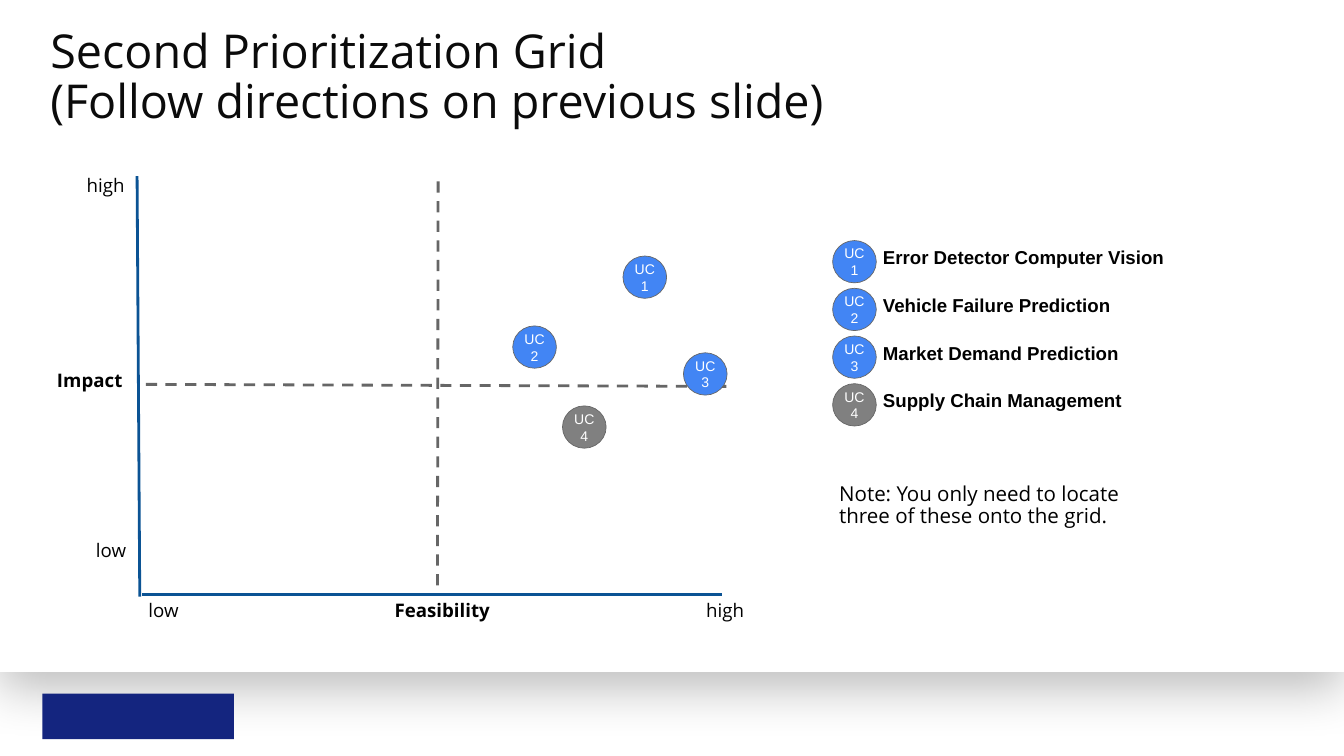
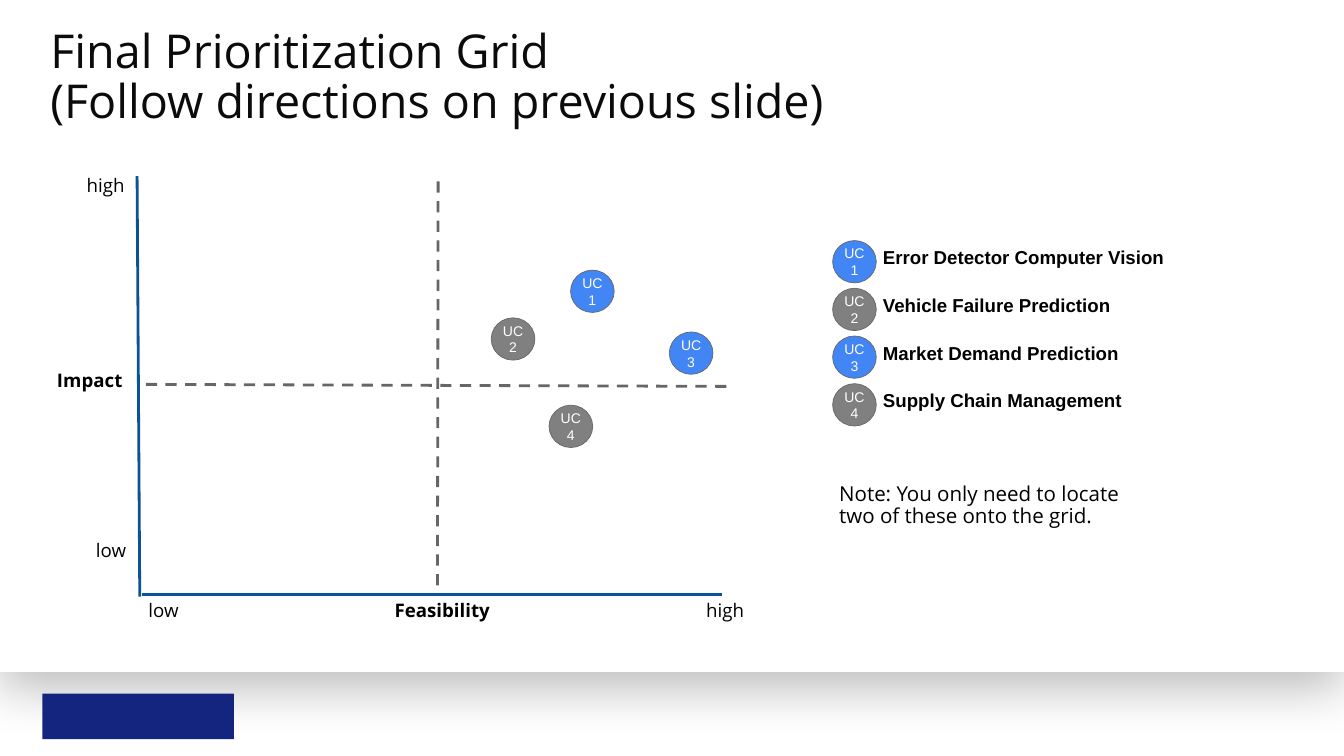
import lxml.etree
import pptx
import pptx.dml.color
import pptx.enum.dml
import pptx.enum.shapes
import pptx.enum.text
import pptx.oxml.ns
import pptx.util

Inches = pptx.util.Inches
Pt = pptx.util.Pt
qn = pptx.oxml.ns.qn
SHAPE = pptx.enum.shapes.MSO_SHAPE
ALIGN = pptx.enum.text.PP_ALIGN
ANCHOR = pptx.enum.text.MSO_ANCHOR

COLORS = {
    "white": "FFFFFF",
    "black": "000000",
    "title": "0B0B0B",
    "footer": "14257F",
    "selected": "4285F4",
    "dropped": "808080",
    "guide": "666666",
    "axis": "0B5394",
}
USE_CASES = [
    "Error Detector Computer Vision",
    "Vehicle Failure Prediction",
    "Market Demand Prediction",
    "Supply Chain Management",
]
SLIDES = [
    {
        "title": "Second Prioritization Grid",
        "count": "three",
        "selected": {1, 2, 3},
        "spots": [(9.27, 3.81), (7.63, 4.85), (10.17, 5.25), (8.37, 6.04)],
    },
    {
        "title": "Final Prioritization Grid",
        "count": "two",
        "selected": {1, 3},
        "spots": [(8.49, 4.02), (7.31, 4.73), (9.96, 4.94), (8.17, 6.03)],
    },
]
LEGEND_X, LEGEND_TOP, LEGEND_STEP = 12.39, 3.58, 0.71
MARKER_W, MARKER_H = 0.65, 0.63


def rgb(name):
    return pptx.dml.color.RGBColor.from_string(COLORS[name])


class Deck:
    """Holds the presentation, its style and the current slide."""

    body_font = "Open Sans"
    marker_font = "Arial"

    def __init__(self):
        self.prs = pptx.Presentation()
        self.prs.slide_width = Inches(20)
        self.prs.slide_height = Inches(11.25)
        self.slide = None

    def new_slide(self, title):
        self.slide = self.prs.slides.add_slide(self.prs.slide_layouts[6])
        page = self.shape(SHAPE.RECTANGLE, 0, 0, 20, 10, "white")
        self.drop_shadow(page)
        self.shape(SHAPE.RECTANGLE, 0.63, 10.32, 2.85, 0.68, "footer")
        self.text(f"{title}\n(Follow directions on previous slide)",
                  0.75, 0.34, 18.5, 1.65, size=50, color="title",
                  inset=0, anchor=ANCHOR.MIDDLE)

    def shape(self, kind, x, y, w, h, fill, line=None):
        sp = self.slide.shapes.add_shape(
            kind, Inches(x), Inches(y), Inches(w), Inches(h))
        sp.shadow.inherit = False
        sp.fill.solid()
        sp.fill.fore_color.rgb = rgb(fill)
        if line:
            sp.line.color.rgb = rgb(line)
            sp.line.width = Pt(0.75)
        else:
            sp.line.fill.background()
        return sp

    def drop_shadow(self, sp):
        effects = sp._element.spPr.find(qn("a:effectLst"))
        shadow = lxml.etree.SubElement(
            effects, qn("a:outerShdw"), blurRad=str(Pt(56.2)),
            dist=str(Pt(18.8)), dir="5400000", algn="t", rotWithShape="0")
        color = lxml.etree.SubElement(
            shadow, qn("a:srgbClr"), val=COLORS["black"])
        lxml.etree.SubElement(color, qn("a:alpha"), val="25000")

    def fill_text(self, tf, text, size, font, color, bold, align, spacing, inset, anchor):
        """Fill a text frame and format all its paragraphs alike."""
        tf.word_wrap = True
        tf.vertical_anchor = anchor
        tf.margin_left = tf.margin_right = Inches(inset)
        tf.margin_top = tf.margin_bottom = Inches(inset)
        tf.text = text
        for p in tf.paragraphs:
            p.alignment = align
            p.line_spacing = spacing
            for r in p.runs:
                r.font.name = font
                r.font.size = Pt(size)
                r.font.bold = bold
                r.font.color.rgb = rgb(color)

    def text(self, text, x, y, w, h, size=20, font=body_font, color="black",
             bold=False, align=ALIGN.LEFT, spacing=0.9, inset=0.1, anchor=ANCHOR.TOP):
        box = self.slide.shapes.add_textbox(
            Inches(x), Inches(y), Inches(w), Inches(h))
        self.fill_text(box.text_frame, text, size, font, color, bold, align,
                       spacing, inset, anchor)

    def line(self, x1, y1, x2, y2, color, dashed=False):
        cn = self.slide.shapes.add_connector(
            pptx.enum.shapes.MSO_CONNECTOR.STRAIGHT,
            Inches(x1), Inches(y1), Inches(x2), Inches(y2))
        cn.line.color.rgb = rgb(color)
        cn.line.width = Pt(3)
        if dashed:
            cn.line.dash_style = pptx.enum.dml.MSO_LINE.DASH
        lxml.etree.SubElement(cn._element.spPr, qn("a:effectLst"))

    def marker(self, number, x, y, selected):
        """Draw the round badge of one use case."""
        fill = "selected" if number in selected else "dropped"
        sp = self.shape(SHAPE.OVAL, x, y, MARKER_W, MARKER_H, fill, "guide")
        self.fill_text(sp.text_frame, f"UC\v{number}", 15, self.marker_font, "white",
                       False, ALIGN.CENTER, 1.0, 0, ANCHOR.MIDDLE)

    def legend(self, selected):
        for i, name in enumerate(USE_CASES):
            y = LEGEND_TOP + i * LEGEND_STEP
            self.marker(i + 1, LEGEND_X, y, selected)
            self.text(name, LEGEND_X + MARKER_W, y - 0.02, 4.64, 0.78,
                      font=self.marker_font, bold=True, spacing=1.0)

    def axes(self):
        self.line(6.52, 2.7, 6.51, 8.71, "guide", dashed=True)
        self.line(2.17, 5.72, 10.88, 5.75, "guide", dashed=True)
        self.line(2.04, 2.62, 2.08, 8.88, "axis")
        self.line(10.74, 8.85, 2.11, 8.85, "axis")
        self.text("Impact", 0.75, 5.43, 1.43, 0.78, bold=True)
        self.text("Feasibility", 3.62, 8.85, 5.92, 0.78, bold=True,
                  align=ALIGN.CENTER)
        for x, y in ((2.11, 8.85), (1.33, 7.96)):
            self.text("low", x, y, 1.14, 0.4)
        for x, y in ((10.41, 8.85), (1.19, 2.53)):
            self.text("high", x, y, 1.39, 0.29)


def main():
    deck = Deck()
    for grid in SLIDES:
        deck.new_slide(grid["title"])
        deck.legend(grid["selected"])
        deck.axes()
        deck.text(f"Note: You only need to locate {grid['count']} of these onto the grid.",
                  LEGEND_X, 7.1, 4.46, 1.27, size=22)
        for number, (x, y) in enumerate(grid["spots"], 1):
            deck.marker(number, x, y, grid["selected"])
    deck.prs.save("out.pptx")


if __name__ == "__main__":
    main()
